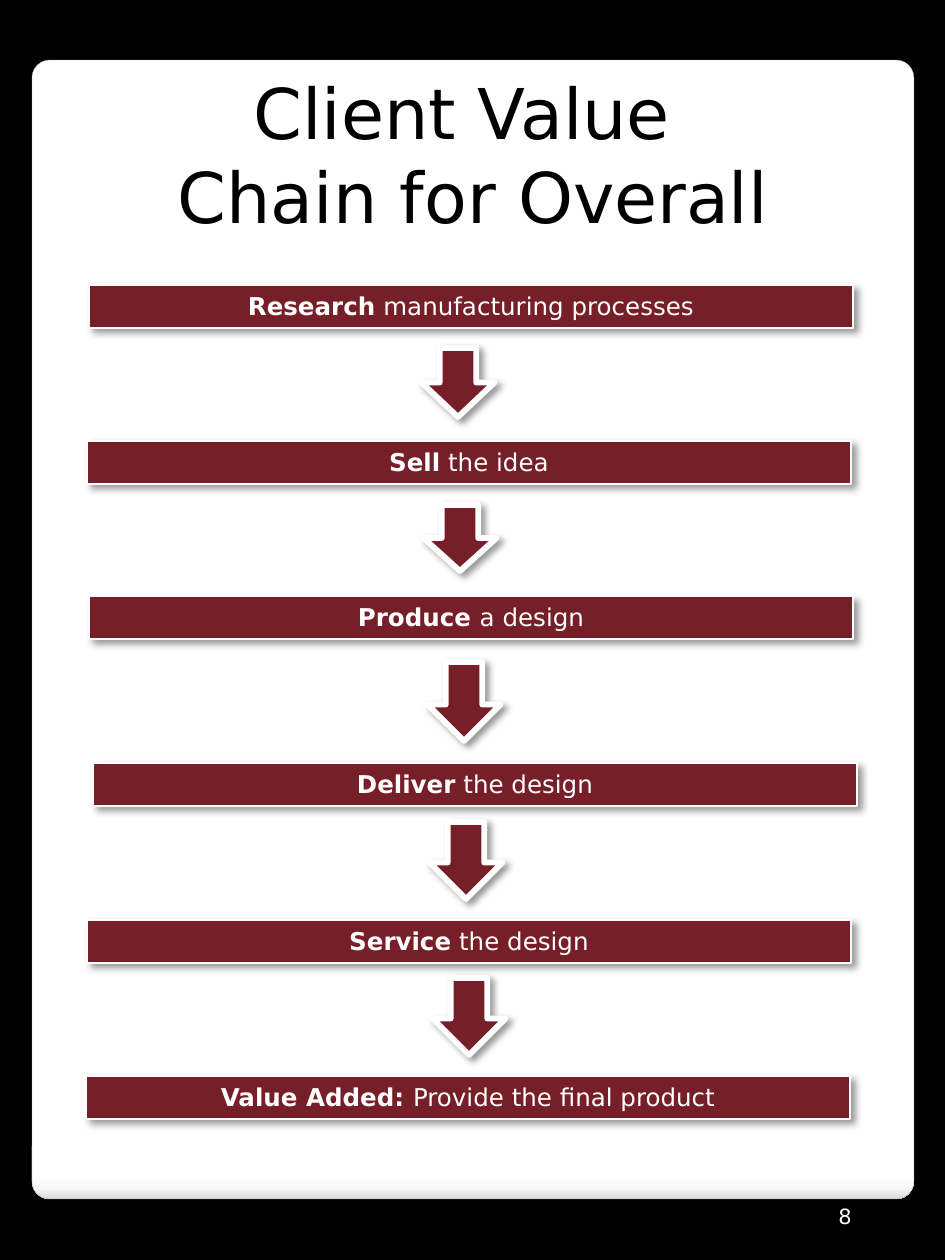
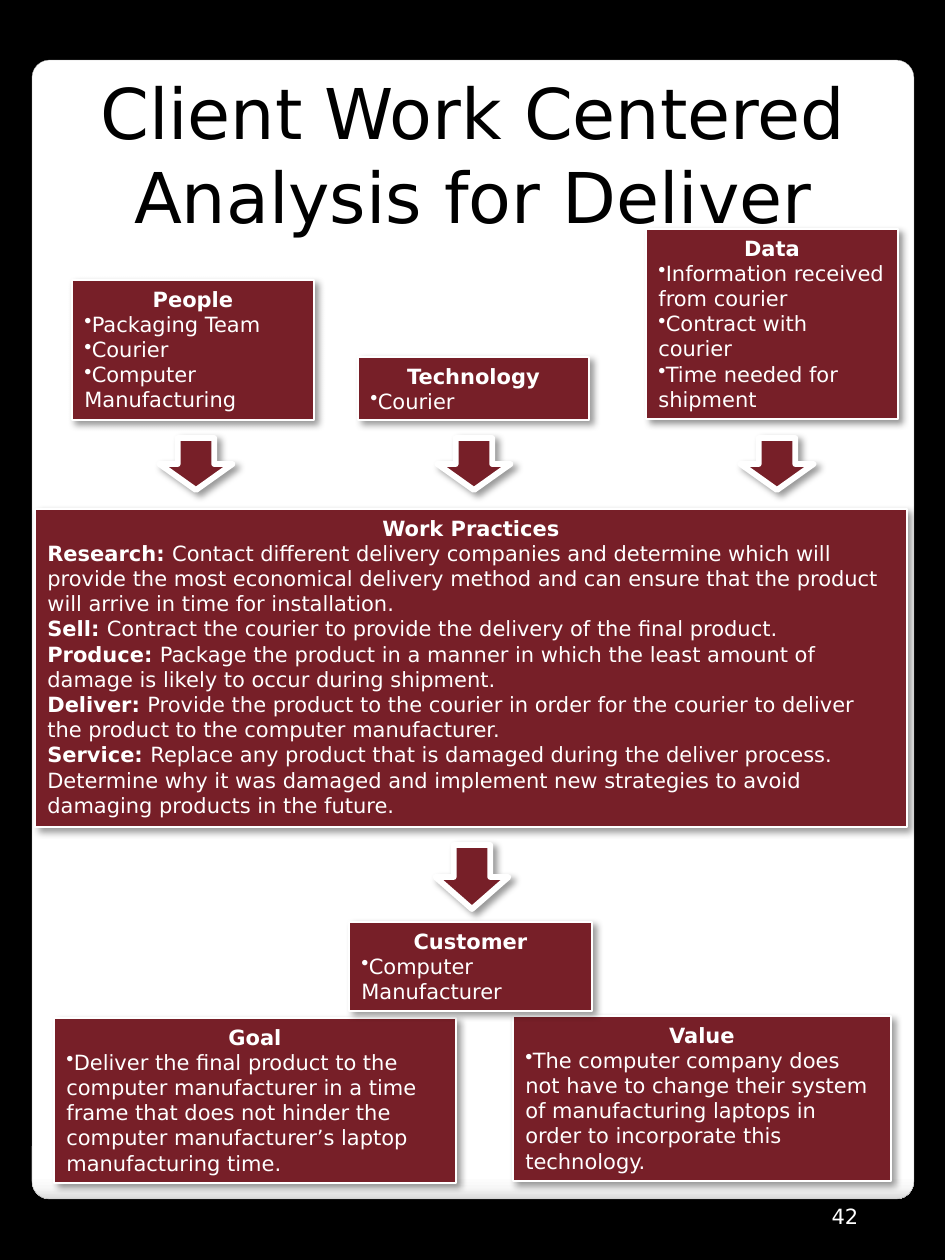
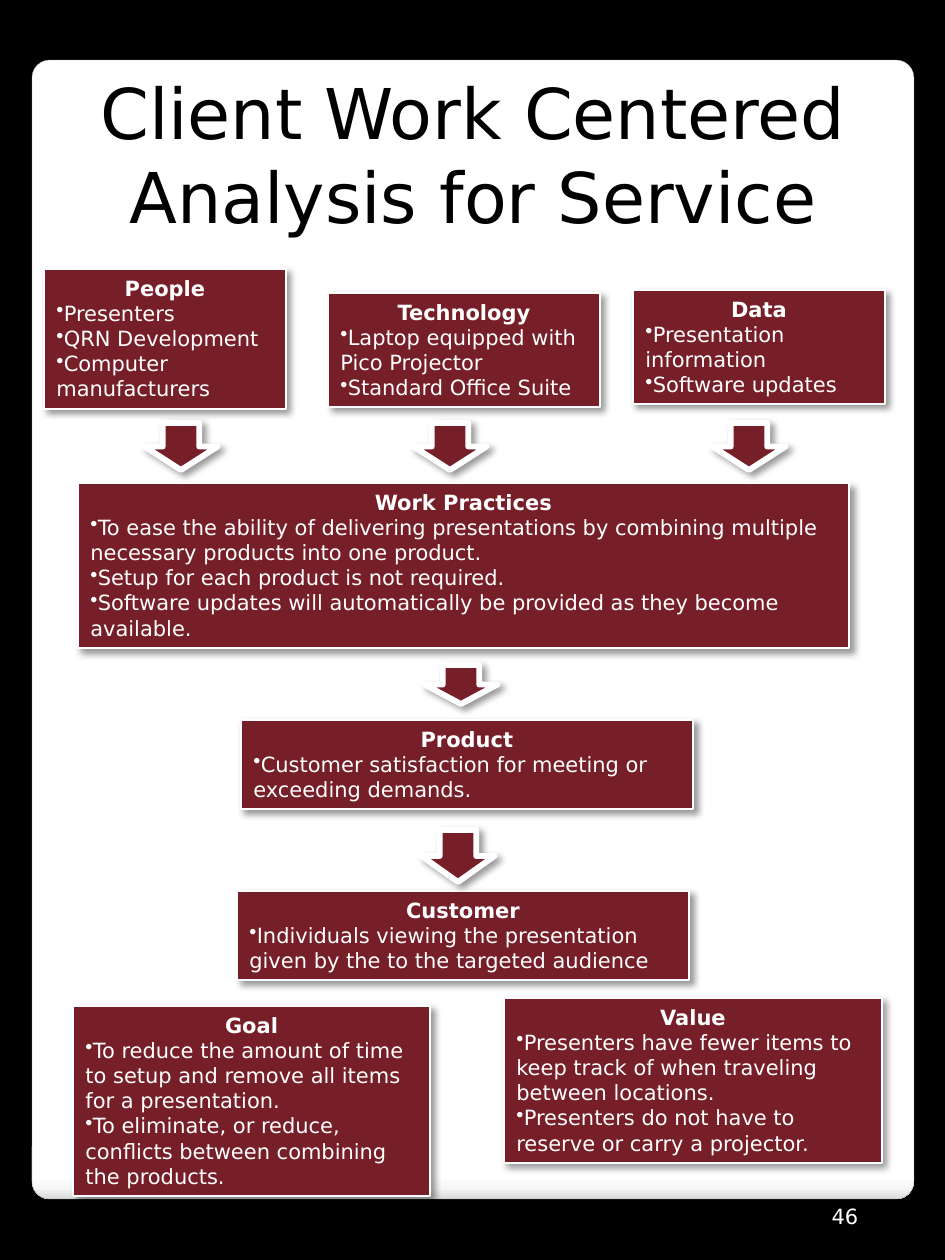
from lxml import etree
from pptx import Presentation
from pptx.dml.color import RGBColor
from pptx.enum.shapes import MSO_SHAPE
from pptx.enum.text import MSO_ANCHOR, MSO_AUTO_SIZE, PP_ALIGN
from pptx.oxml.ns import qn
from pptx.util import Emu, Pt

RECTANGLE = MSO_SHAPE.RECTANGLE
ROUNDED = MSO_SHAPE.ROUNDED_RECTANGLE
ARROW = MSO_SHAPE.LEFT_ARROW
LEFT, CENTER = PP_ALIGN.LEFT, PP_ALIGN.CENTER
TOP, BOTTOM = MSO_ANCHOR.TOP, MSO_ANCHOR.BOTTOM
GROW = MSO_AUTO_SIZE.SHAPE_TO_FIT_TEXT

EMU_PER_PX = 914400 / 126
SLIDE_SIZE = (945, 1260)
PANEL_BOX = (32, 60, 882, 1139)
TITLE_BOX = (32, 63, 882, 183)
NUMBER_BOX = (786, 1193, 118, 67)
NUMBER_BOTTOM_MARGIN = 31
ARROW_BREADTH = 73
STEP_SIZE = (764, 43)
FONT = "DejaVu Sans"
COLORS = {
    "black": "000000",
    "white": "FFFFFF",
    "maroon": "771F28",
    "edge": "A4A4A4",
}
PANEL_STOPS = ((0, "FFFFFF"), (98, "FFFFFF"), (99, "F7F7F7"), (100, "DADADA"))

STEPS = (
    (89, 285, "Research", " manufacturing processes"),
    (87, 441, "Sell", " the idea"),
    (89, 596, "Produce ", "a design"),
    (93, 763, "Deliver", " the design"),
    (87, 920, "Service", " the design"),
    (86, 1076, "Value Added: ", "Provide the final product"),
)
STEP_ARROWS = ((458, 348, 69), (460, 505, 66), (464, 662, 79), (466, 822, 77), (469, 978, 77))

DELIVER_CARDS = (
    ((35, 509, 872, 318), "Work Practices", (
        ("Research: ", "Contact different delivery companies and determine which will provide the most "
         "economical delivery method and can ensure that the product will arrive in time for installation."),
        ("Sell: ", "Contract the courier to provide the delivery of the final product."),
        ("Produce: ", "Package the product in a manner in which the least amount of damage is likely "
         "to occur during shipment."),
        ("Deliver: ", "Provide the product to the courier in order for the courier to deliver the "
         "product to the computer manufacturer."),
        ("Service: ", "Replace any product that is damaged during the deliver process. Determine why it "
         "was damaged and implement new strategies to avoid damaging products in the future."),
    )),
    ((72, 280, 242, 140), "People", ("Packaging Team", "Courier", "Computer Manufacturing")),
    ((358, 357, 231, 63), "Technology", ("Courier",)),
    ((646, 229, 252, 190), "Data", (
        "Information received from courier", "Contract with courier", "Time needed for shipment")),
    ((54, 1018, 402, 165), "Goal", (
        "Deliver the final product to the computer manufacturer in a time frame that does not hinder "
        "the computer manufacturer’s laptop manufacturing time.",)),
    ((513, 1016, 378, 165), "Value", (
        "The computer company does not have to change their system of manufacturing laptops in order "
        "to incorporate this technology.",)),
    ((349, 922, 243, 89), "Customer", ("Computer Manufacturer",)),
)
DELIVER_ARROWS = ((196, 438, 52), (474, 438, 52), (777, 438, 52), (472, 845, 64))

SERVICE_CARDS = (
    ((78, 483, 771, 165), "Work Practices", (
        "To ease the ability of delivering presentations by combining multiple necessary products "
        "into one product.",
        "Setup for each product is not required.",
        "Software updates will automatically be provided as they become available.")),
    ((44, 269, 242, 140), "People", ("Presenters", "QRN Development", "Computer manufacturers")),
    ((328, 293, 272, 114), "Technology", ("Laptop equipped with Pico Projector", "Standard Office Suite")),
    ((633, 290, 252, 114), "Data", ("Presentation information", "Software updates")),
    ((73, 1006, 357, 190), "Goal", (
        "To reduce the amount of time to setup and remove all items for a presentation.",
        "To eliminate, or reduce, conflicts between combining the products.")),
    ((504, 998, 378, 165), "Value", (
        "Presenters have fewer items to keep track of when traveling between locations.",
        "Presenters do not have to reserve or carry a projector.")),
    ((237, 891, 452, 89), "Customer", (
        "Individuals viewing the presentation given by the to the targeted audience",)),
    ((241, 720, 452, 89), "Product", ("Customer satisfaction for meeting or exceeding demands.",)),
)
SERVICE_ARROWS = ((181, 423, 47), (450, 423, 47), (749, 423, 47), (461, 665, 39), (458, 830, 52))


def px(length):
    """Turn pixels into EMU."""
    return Emu(round(length * EMU_PER_PX))


def rgb(name):
    """Look up a colour by name."""
    return RGBColor.from_string(COLORS[name])


def add_color(parent, tag, value):
    """Add an element that holds a colour and return both."""
    holder = etree.SubElement(parent, qn(tag))
    return holder, etree.SubElement(holder, qn("a:srgbClr"), val=value)


def add_shadow(shape, opacity, blur, distance, angle):
    """Give a shape an outer shadow, in percent, points and degrees."""
    shape.shadow.inherit = False
    effects = shape._element.spPr.find(qn("a:effectLst"))
    shadow, color = add_color(effects, "a:outerShdw", COLORS["black"])
    shadow.set("blurRad", str(Pt(blur)))
    shadow.set("dist", str(Pt(distance)))
    shadow.set("dir", str(angle * 60000))
    shadow.set("algn", "ctr")
    shadow.set("rotWithShape", "0")
    etree.SubElement(color, qn("a:alpha"), val=str(opacity * 1000))


def add_maroon_shape(slide, kind, box, line_width):
    """Add a maroon shape with a white outline and a soft shadow."""
    shape = slide.shapes.add_shape(kind, *map(px, box))
    shape.fill.solid()
    shape.fill.fore_color.rgb = rgb("maroon")
    shape.line.color.rgb = rgb("white")
    shape.line.width = Pt(line_width)
    add_shadow(shape, 40, 4, 3, 45)
    return shape


def write_text(shape, lines, size, color, anchor=TOP):
    """Fill a shape with lines of (alignment, bulleted, runs of (text, bold))."""
    frame = shape.text_frame
    frame.word_wrap = True
    frame.vertical_anchor = anchor
    for index, (alignment, bulleted, runs) in enumerate(lines):
        paragraph = frame.add_paragraph() if index else frame.paragraphs[0]
        paragraph.alignment = alignment
        if bulleted:
            etree.SubElement(paragraph._p.get_or_add_pPr(), qn("a:buChar"), char="•")
        paragraph.font.name = FONT
        paragraph.font.size = Pt(size)
        paragraph.font.color.rgb = rgb(color)
        for text, bold in runs:
            run = paragraph.add_run()
            run.text = text
            run.font.bold = bold
    return frame


def add_panel(slide):
    """Add the white rounded panel behind the content."""
    panel = slide.shapes.add_shape(ROUNDED, *map(px, PANEL_BOX))
    panel.adjustments[0] = 0.02
    panel.fill.gradient()
    panel.fill.gradient_angle = 270
    stops = panel._element.spPr.find(".//" + qn("a:gsLst"))
    for stop in list(stops):
        stops.remove(stop)
    for position, value in PANEL_STOPS:
        add_color(stops, "a:gs", value)[0].set("pos", str(position * 1000))
    panel.line.color.rgb = rgb("edge")
    panel.line.width = Pt(0.16)
    add_shadow(panel, 25, 6, 4, 90)


def add_base(presentation, title_lines, number):
    """Add a slide with its panel, title and number."""
    slide = presentation.slides.add_slide(presentation.slide_layouts[6])
    add_panel(slide)
    title = slide.shapes.add_textbox(*map(px, TITLE_BOX))
    lines = [(CENTER, False, [(text, False)]) for text in title_lines]
    write_text(title, lines, 40, "black").auto_size = GROW
    footer = slide.shapes.add_textbox(*map(px, NUMBER_BOX))
    frame = write_text(footer, [(CENTER, False, [(number, False)])], 12, "white", BOTTOM)
    frame.margin_bottom = px(NUMBER_BOTTOM_MARGIN)
    return slide


def add_arrows(slide, arrows):
    """Add downward arrows given by centre, top and length."""
    for center, top, length in arrows:
        box = (center - length / 2, top + (length - ARROW_BREADTH) / 2, length, ARROW_BREADTH)
        arrow = add_maroon_shape(slide, ARROW, box, 3.35)
        arrow.rotation = 270
        etree.SubElement(arrow.line._get_or_add_ln(), qn("a:round"))


def add_step(slide, left, top, verb, rest):
    """Add one bar of the value chain."""
    bar = add_maroon_shape(slide, RECTANGLE, (left, top, *STEP_SIZE), 0.75)
    lines = [(CENTER, False, [(verb, True), (rest, False)])]
    write_text(bar, lines, 14, "white").auto_size = GROW


def add_card(slide, box, heading, items):
    """Add a card with a bold heading over bullets or labelled lines."""
    card = add_maroon_shape(slide, RECTANGLE, box, 0.75)
    lines = [(CENTER, False, [(heading, True)])]
    for item in items:
        if isinstance(item, tuple):
            label, text = item
            lines.append((LEFT, False, [(label, True), (text, False)]))
        else:
            lines.append((LEFT, True, [(item, False)]))
    write_text(card, lines, 12, "white").auto_size = GROW


def add_chain_slide(presentation):
    """Build the value chain slide."""
    slide = add_base(presentation, ("Client Value ", "Chain for Overall"), "8")
    for step in STEPS:
        add_step(slide, *step)
    add_arrows(slide, STEP_ARROWS)


def add_analysis_slide(presentation, title_lines, number, cards, arrows):
    """Build a work centered analysis slide."""
    slide = add_base(presentation, title_lines, number)
    for card in cards:
        add_card(slide, *card)
    add_arrows(slide, arrows)


def main():
    """Build and save the presentation."""
    presentation = Presentation()
    presentation.slide_width, presentation.slide_height = map(px, SLIDE_SIZE)
    background = presentation.slide_master.background.fill
    background.solid()
    background.fore_color.rgb = rgb("black")
    add_chain_slide(presentation)
    add_analysis_slide(presentation, ("Client Work Centered Analysis for Deliver",), "42",
                       DELIVER_CARDS, DELIVER_ARROWS)
    add_analysis_slide(presentation, ("Client Work Centered", "Analysis for Service"), "46",
                       SERVICE_CARDS, SERVICE_ARROWS)
    presentation.save("out.pptx")


if __name__ == "__main__":
    main()
